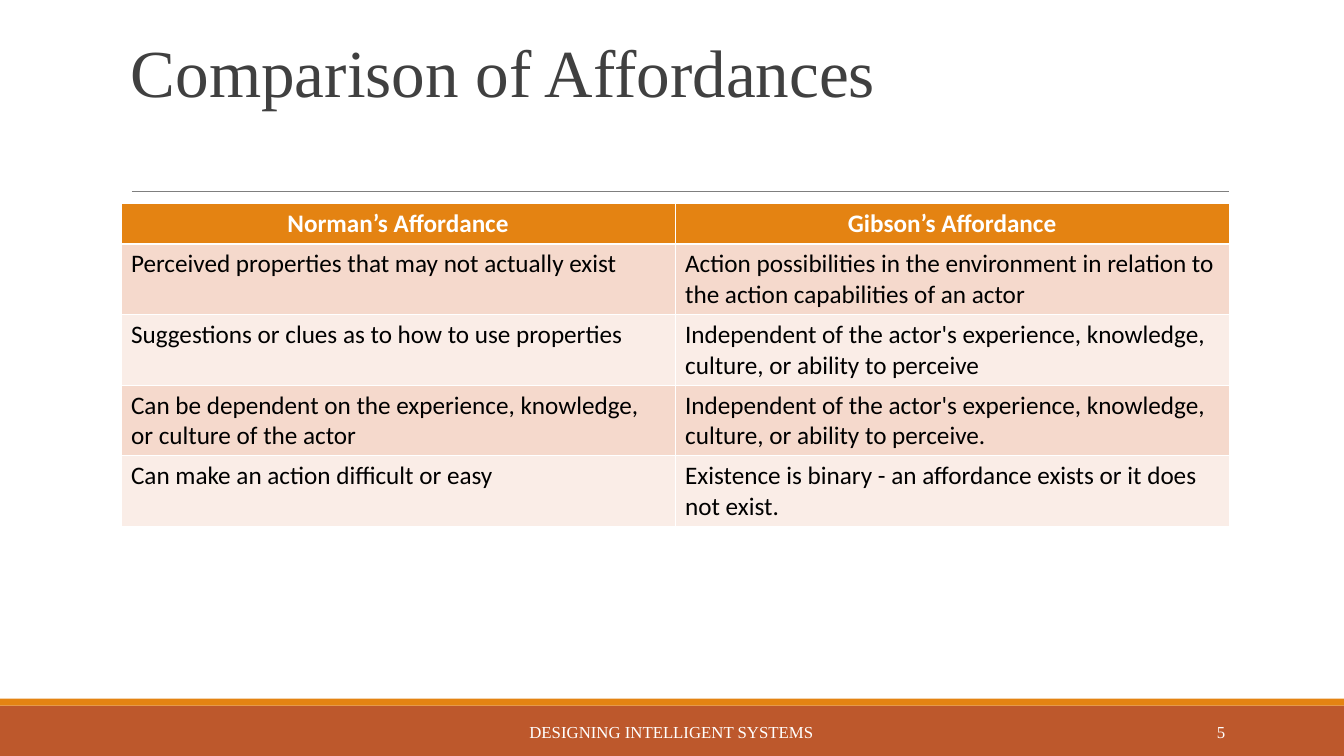
from lxml.etree import SubElement
from pptx import Presentation
from pptx.dml.color import RGBColor
from pptx.enum.shapes import MSO_CONNECTOR as Connector, MSO_SHAPE as Shape
from pptx.enum.text import MSO_ANCHOR as Anchor, PP_ALIGN as Align
from pptx.oxml.ns import qn
from pptx.util import Inches, Pt

WIDTH, HEIGHT = Inches(13.34), Inches(7.5)

RUST = RGBColor(0xBD, 0x58, 0x2C)
ORANGE = RGBColor(0xE4, 0x83, 0x12)
BAND_DARK = RGBColor(0xF5, 0xD9, 0xCC)
BAND_LIGHT = RGBColor(0xFA, 0xED, 0xE7)
CHARCOAL = RGBColor(0x40, 0x40, 0x40)
GRAY = RGBColor(0x7F, 0x7F, 0x7F)
WHITE = RGBColor(0xFF, 0xFF, 0xFF)
BLACK = RGBColor(0x00, 0x00, 0x00)

SERIF, SANS = "Times New Roman", "Calibri"
TITLE = {"name": SERIF, "size": Pt(48)}
FOOTER = {"name": SERIF, "size": Pt(12)}
HEADING = {"name": SANS, "size": Pt(18), "bold": True}
BODY = {"name": SANS, "size": Pt(18), "bold": False}

# Table place, in percent of the slide
TABLE_LEFT, TABLE_TOP, TABLE_WIDTH = 9, 26.93, 82.46
HEADER_HEIGHT, ROW_HEIGHT = 5.33, 9.33

COMPARISON = [
    ("Norman’s Affordance", "Gibson’s Affordance"),
    ("Perceived properties that may not actually exist",
     "Action possibilities in the environment in relation to "
     "the action capabilities of an actor"),
    ("Suggestions or clues as to how to use properties",
     "Independent of the actor's experience, knowledge, "
     "culture, or ability to perceive"),
    ("Can be dependent on the experience, knowledge, or culture of the actor",
     "Independent of the actor's experience, knowledge, "
     "culture, or ability to perceive."),
    ("Can make an action difficult or easy",
     "Existence is binary - an affordance exists or it does not exist."),
]


def across(percent):
    return round(WIDTH * percent / 100)


def down(percent):
    return round(HEIGHT * percent / 100)


def place(left, top, width, height):
    return across(left), down(top), across(width), down(height)


def apply(target, formats):
    for name, value in formats.items():
        setattr(target, name, value)


def write(frame, text, font, color, **layout):
    para = frame.paragraphs[0]
    apply(para, layout)
    span = para.add_run()
    span.text = text
    apply(span.font, font)
    span.font.color.rgb = color


def add_text(page, area, text, font, color, anchor, **layout):
    frame = page.shapes.add_textbox(*place(*area)).text_frame
    apply(frame, {"word_wrap": True, "vertical_anchor": anchor})
    write(frame, text, font, color, **layout)


def add_band(page, top, height, color):
    band = page.shapes.add_shape(Shape.RECTANGLE, *place(0, top, 100, height))
    band.shadow.inherit = False
    band.fill.solid()
    band.fill.fore_color.rgb = color
    band.line.fill.background()


def add_rule(page, left, right, height):
    rule = page.shapes.add_connector(
        Connector.STRAIGHT, across(left), down(height), across(right), down(height))
    rule.line.color.rgb = GRAY
    rule.line.width = Pt(0.5)
    SubElement(rule._element.spPr, qn("a:effectLst"))


def add_borders(cell, widths):
    properties = cell._tc.get_or_add_tcPr()
    for side, width in widths.items():
        border = SubElement(properties, qn(f"a:ln{side}"), w=str(Pt(width)))
        fill = SubElement(border, qn("a:solidFill"))
        SubElement(fill, qn("a:srgbClr"), val=str(WHITE))


def add_comparison(page, rows):
    columns = len(rows[0])
    height = HEADER_HEIGHT + ROW_HEIGHT * (len(rows) - 1)
    area = place(TABLE_LEFT, TABLE_TOP, TABLE_WIDTH, height)
    table = page.shapes.add_table(len(rows), columns, *area).table
    for row, texts in enumerate(rows):
        is_header = row == 0
        table.rows[row].height = down(HEADER_HEIGHT if is_header else ROW_HEIGHT)
        if is_header:
            fill, font, color, align = ORANGE, HEADING, WHITE, Align.CENTER
        else:
            fill = BAND_DARK if row % 2 else BAND_LIGHT
            font, color, align = BODY, BLACK, Align.LEFT
        for column, text in enumerate(texts):
            cell = table.cell(row, column)
            add_borders(cell, {"L": 0.45, "R": 0.45,
                               "T": 1.47 if row == 1 else 0.45,
                               "B": 1.47 if is_header else 0.45})
            cell.fill.solid()
            cell.fill.fore_color.rgb = fill
            write(cell.text_frame, text, font, color, alignment=align)


def main():
    deck = Presentation()
    apply(deck, {"slide_width": WIDTH, "slide_height": HEIGHT})
    page = deck.slides.add_slide(deck.slide_layouts[6])

    # Footer bands and the rule below the title
    add_band(page, 93.33, 6.67, RUST)
    add_band(page, 92.4, 0.93, ORANGE)
    add_rule(page, 9.82, 91.45, 25.33)

    # Title and comparison table
    add_text(page, (9, 4.13, 82.46, 11.2), "Comparison of Affordances",
             TITLE, CHARCOAL, Anchor.BOTTOM, line_spacing=0.85)
    add_comparison(page, COMPARISON)

    # Footer text and page number
    add_text(page, (30.21, 94.13, 39.51, 5.33), "DESIGNING INTELLIGENT SYSTEMS",
             FOOTER, WHITE, Anchor.MIDDLE, alignment=Align.CENTER)
    add_text(page, (81.18, 94.13, 10.72, 5.33), "5",
             FOOTER, WHITE, Anchor.MIDDLE, alignment=Align.RIGHT)

    deck.save("out.pptx")


if __name__ == "__main__":
    main()
